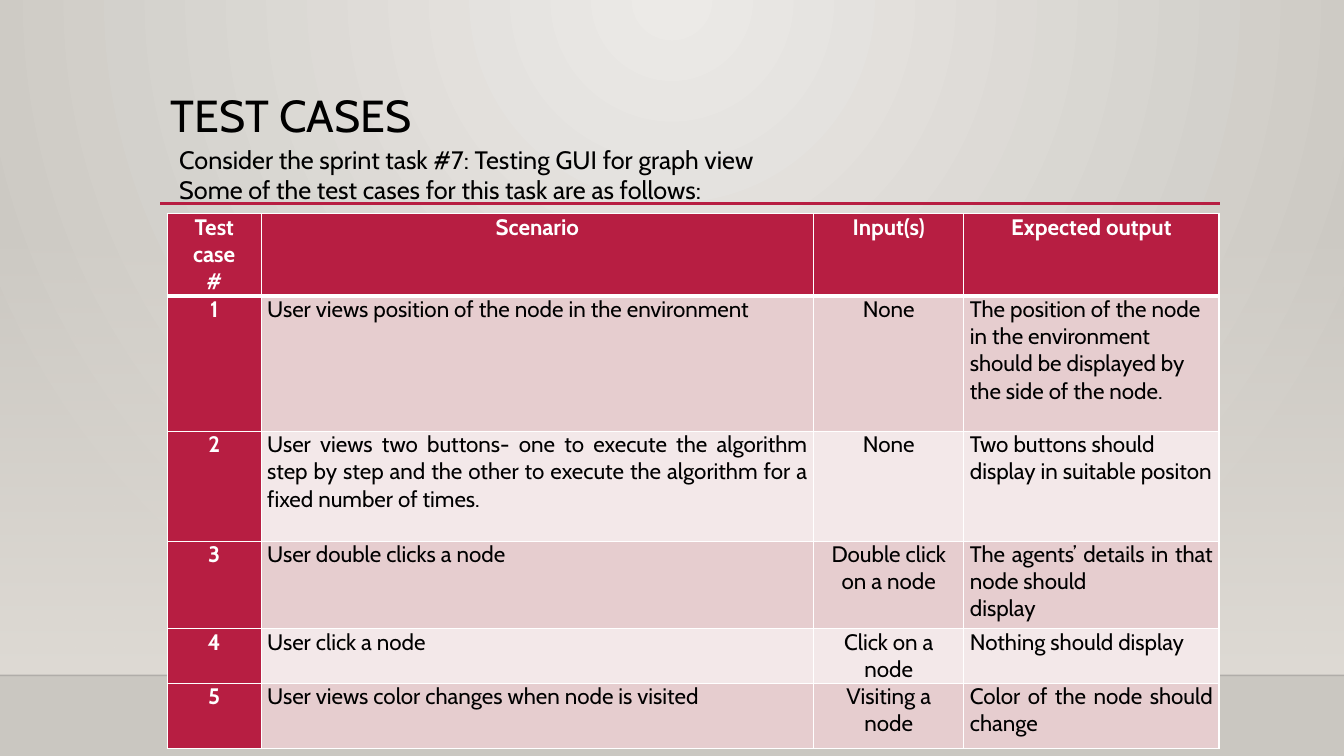
"""Build the test cases slide: a title, a short introduction and a table."""
import dataclasses
import typing

import lxml.etree
import pptx
import pptx.dml.color
import pptx.enum.shapes
import pptx.enum.text
import pptx.oxml.ns
import pptx.util

ALIGN = pptx.enum.text.PP_ALIGN
qn = pptx.oxml.ns.qn


@dataclasses.dataclass(frozen=True)
class Theme:
    """Colours, type sizes and line widths of the slide."""
    font: str = "Cabin"
    title_size: float = 32
    intro_size: float = 18
    table_size: float = 16
    text: str = "000000"
    white: str = "FFFFFF"
    accent: str = "B71E42"
    stripes: tuple[str, str] = ("E6CDCF", "F3E8E9")
    backdrop: tuple[str, str] = ("ECEAE7", "CAC7C1")
    wall: str = "DFDBD5"
    floor_line: str = "000001"


@dataclasses.dataclass(frozen=True)
class Box:
    """A place on the slide, in percent of its width and height."""
    left: float
    top: float
    width: float
    height: float


@dataclasses.dataclass(frozen=True)
class Rule:
    """A horizontal line, in percent of the slide's size."""
    start: float
    end: float
    level: float
    color: str
    weight: float
    opacity: int = 100


@dataclasses.dataclass(frozen=True)
class TestCase:
    """One row of the table, each output line being a paragraph."""
    scenario: str
    inputs: str
    output: tuple[str, ...]
    scenario_align: ALIGN = ALIGN.LEFT
    output_align: ALIGN = ALIGN.LEFT


THEME = Theme()
SLIDE_WIDTH = pptx.util.Inches(13.33)
SLIDE_HEIGHT = pptx.util.Inches(7.5)

TITLE_BOX = Box(11.93, 11.73, 78.77, 15.33)
INTRO_BOX = Box(12.6, 18.4, 45.91, 13.47)
WALL_BOX = Box(0, 29.47, 100, 59.86)
COLUMN_WIDTHS = (6.98, 41.11, 11.18, 18.98)
ROW_HEIGHTS = (10.93, 17.87, 14.53, 11.6, 7.2, 8.67)
TABLE_BOX = Box(12.45, 28.27, sum(COLUMN_WIDTHS), sum(ROW_HEIGHTS))
RULES = (
    Rule(0, 100, 89.33, THEME.floor_line, 1, 20),
    Rule(11.93, 90.77, 26.93, THEME.accent, 2.5),
)

INTRO = (
    "Consider the sprint task #7: Testing GUI for graph view",
    "Some of the test cases for this task are as follows:",
)
HEADERS = (("Test case", "#"), ("Scenario",), ("Input(s)",), ("Expected output",))
TEST_CASES = (
    TestCase("User views position of the node in the environment", "None",
             ("The position of the node in the environment should be displayed "
              "by the side of the node.",)),
    TestCase("User views two buttons- one to execute the algorithm step by step and "
             "the other to execute the algorithm for a fixed number of times.", "None",
             ("Two buttons should display in suitable positon",), ALIGN.JUSTIFY),
    TestCase("User double clicks a node", "Double click on a node",
             ("The agents’ details in that node should", "display"),
             ALIGN.JUSTIFY, ALIGN.JUSTIFY),
    TestCase("User click a node", "Click on a node", ("Nothing should display",)),
    TestCase("User views color changes when node is visited", "Visiting a node",
             ("Color of the node should change",), ALIGN.JUSTIFY, ALIGN.JUSTIFY),
)


def rgb(color: str) -> pptx.dml.color.RGBColor:
    """Return a colour object for a hexadecimal colour."""
    return pptx.dml.color.RGBColor.from_string(color)


def across(percent: float) -> int:
    """Return a share of the slide's width."""
    return round(SLIDE_WIDTH * percent / 100)


def down(percent: float) -> int:
    """Return a share of the slide's height."""
    return round(SLIDE_HEIGHT * percent / 100)


def place(box: Box) -> tuple[int, int, int, int]:
    """Return left, top, width and height of a box."""
    return across(box.left), down(box.top), across(box.width), down(box.height)


def write(frame: typing.Any, lines: typing.Sequence[str], size: float,
          color: str = THEME.text, align: ALIGN = ALIGN.LEFT, bold: bool = False) -> None:
    """Write each line as a paragraph of one formatted run."""
    frame.word_wrap = True
    for index, line in enumerate(lines):
        paragraph = frame.add_paragraph() if index else frame.paragraphs[0]
        paragraph.alignment = align
        run = paragraph.add_run()
        run.text = line
        run.font.name = THEME.font
        run.font.size = pptx.util.Pt(size)
        run.font.bold = bold
        run.font.color.rgb = rgb(color)


def set_opacity(color_element: typing.Any, percent: int) -> None:
    """Give a colour element an opacity."""
    lxml.etree.SubElement(color_element, qn("a:alpha"), val=str(percent * 1000))


def set_gradient(fill: typing.Any, colors: tuple[str, str]) -> None:
    """Fill with a gradient of two colours."""
    fill.gradient()
    for stop, color, position in zip(fill.gradient_stops, colors, (0, 1)):
        stop.color.rgb = rgb(color)
        stop.position = position


def paint_background(slide: typing.Any) -> None:
    """Light the background from the middle of its top edge."""
    set_gradient(slide.background.fill, THEME.backdrop)
    linear = next(slide.element.iter(qn("a:lin")))
    gradient = linear.getparent()
    gradient.remove(linear)
    circle = lxml.etree.SubElement(gradient, qn("a:path"), attrib={"path": "circle"})
    lxml.etree.SubElement(circle, qn("a:fillToRect"), l="43000", t="0", r="43000", b="100000")


def add_wall(slide: typing.Any) -> None:
    """Add the band that fades in towards the floor."""
    wall = slide.shapes.add_shape(
        pptx.enum.shapes.MSO_SHAPE.RECTANGLE, *place(WALL_BOX))
    wall.shadow.inherit = False
    wall.line.fill.background()
    set_gradient(wall.fill, (THEME.wall, THEME.wall))
    wall.fill.gradient_angle = 270
    set_opacity(next(wall.element.spPr.iter(qn("a:srgbClr"))), 0)


def add_rule(slide: typing.Any, rule: Rule) -> None:
    """Add a horizontal line."""
    level = down(rule.level)
    line = slide.shapes.add_connector(
        pptx.enum.shapes.MSO_CONNECTOR.STRAIGHT,
        across(rule.start), level, across(rule.end), level)
    line.line.color.rgb = rgb(rule.color)
    line.line.width = pptx.util.Pt(rule.weight)
    properties = line.element.spPr
    set_opacity(next(properties.iter(qn("a:srgbClr"))), rule.opacity)
    lxml.etree.SubElement(properties, qn("a:effectLst"))


def format_cell(cell: typing.Any, fill: str, bottom_weight: float) -> None:
    """Set the fill, margins and white borders of a cell."""
    cell.fill.solid()
    cell.fill.fore_color.rgb = rgb(fill)
    cell.margin_left = cell.margin_right = pptx.util.Inches(0.06)
    cell.margin_top = cell.margin_bottom = 0
    properties = cell._tc.get_or_add_tcPr()
    weights = {"a:lnL": 1, "a:lnR": 1, "a:lnT": 1, "a:lnB": bottom_weight}
    for index, (side, weight) in enumerate(weights.items()):
        border = lxml.etree.Element(qn(side), w=str(pptx.util.Pt(weight)))
        solid = lxml.etree.SubElement(border, qn("a:solidFill"))
        lxml.etree.SubElement(solid, qn("a:srgbClr"), val=THEME.white)
        properties.insert(index, border)


def add_test_table(slide: typing.Any) -> None:
    """Add the table of test cases."""
    table = slide.shapes.add_table(
        len(ROW_HEIGHTS), len(COLUMN_WIDTHS), *place(TABLE_BOX)).table
    for column, width in zip(table.columns, COLUMN_WIDTHS):
        column.width = across(width)
    for row, height in zip(table.rows, ROW_HEIGHTS):
        row.height = down(height)
    rows = [[(lines, ALIGN.CENTER) for lines in HEADERS]]
    for number, case in enumerate(TEST_CASES, 1):
        rows.append([((str(number),), ALIGN.CENTER),
                     ((case.scenario,), case.scenario_align),
                     ((case.inputs,), ALIGN.CENTER),
                     (case.output, case.output_align)])
    for row_index, row in enumerate(rows):
        for column_index, (lines, align) in enumerate(row):
            heading = row_index == 0 or column_index == 0
            cell = table.cell(row_index, column_index)
            fill = THEME.accent if heading else THEME.stripes[(row_index - 1) % 2]
            format_cell(cell, fill, 1 if row_index else 3)
            write(cell.text_frame, lines, THEME.table_size,
                  THEME.white if heading else THEME.text, align, heading)


def main() -> None:
    """Build and save the presentation."""
    presentation = pptx.Presentation()
    presentation.slide_width, presentation.slide_height = SLIDE_WIDTH, SLIDE_HEIGHT
    slide = presentation.slides.add_slide(presentation.slide_layouts[5])
    paint_background(slide)
    add_wall(slide)
    for rule in RULES:
        add_rule(slide, rule)
    title = slide.shapes.title
    title.left, title.top, title.width, title.height = place(TITLE_BOX)
    title.text_frame.vertical_anchor = pptx.enum.text.MSO_ANCHOR.TOP
    title.text_frame.auto_size = pptx.enum.text.MSO_AUTO_SIZE.NONE
    write(title.text_frame, ("TEST CASES",), THEME.title_size)
    title.text_frame.paragraphs[0].line_spacing = 0.9
    add_test_table(slide)
    intro = slide.shapes.add_textbox(*place(INTRO_BOX))
    write(intro.text_frame, INTRO, THEME.intro_size)
    presentation.save("out.pptx")


main()
